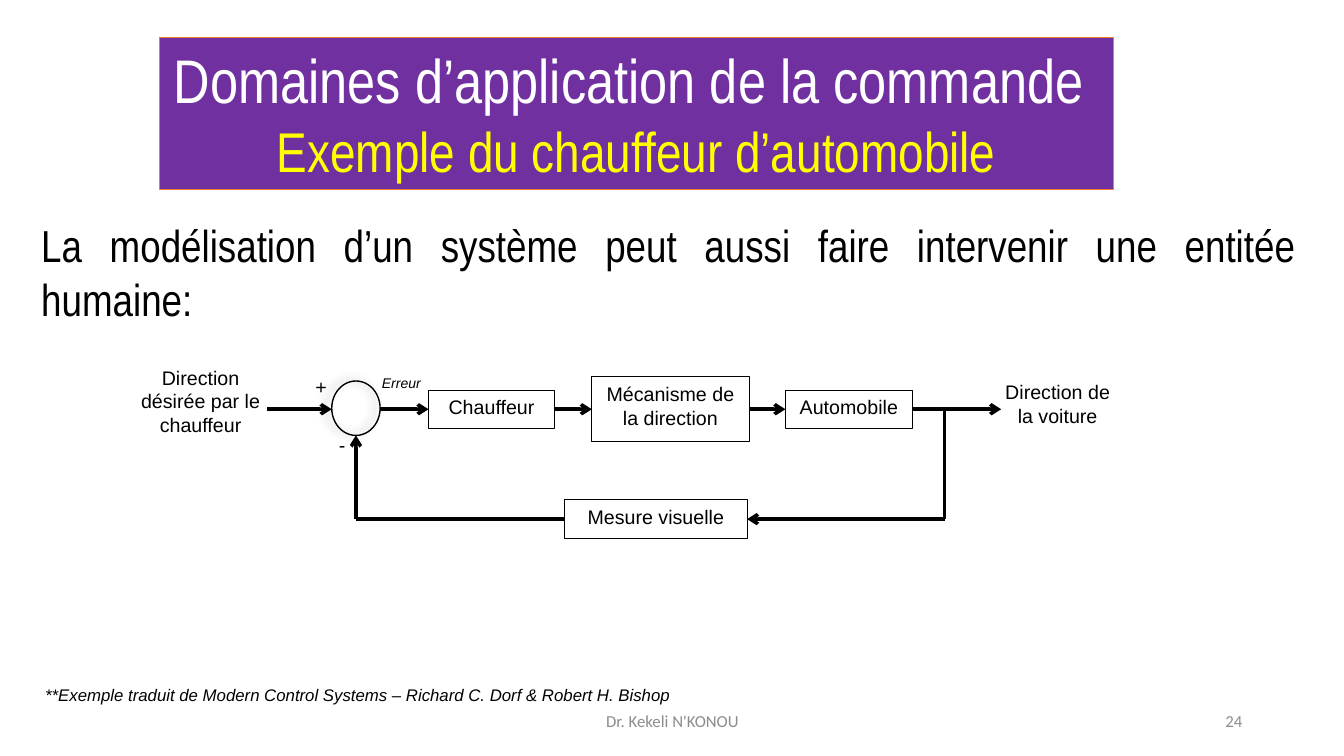
"""Build a slide showing the control loop of a car driver."""
from lxml import etree
from pptx import Presentation
from pptx.dml.color import RGBColor
from pptx.enum.shapes import MSO_CONNECTOR, MSO_SHAPE
from pptx.enum.text import MSO_ANCHOR, MSO_AUTO_SIZE, PP_ALIGN
from pptx.oxml import parse_xml
from pptx.oxml.ns import nsdecls, qn
from pptx.util import Inches, Pt

BLACK = RGBColor(0x00, 0x00, 0x00)
WHITE = RGBColor(0xFF, 0xFF, 0xFF)
YELLOW = RGBColor(0xFF, 0xFF, 0x00)
PURPLE = RGBColor(0x70, 0x30, 0xA0)
ORANGE = RGBColor(0xED, 0x7D, 0x31)
GREY = RGBColor(0x8C, 0x8C, 0x8C)
LEFT, CENTER, RIGHT, JUSTIFY = PP_ALIGN.LEFT, PP_ALIGN.CENTER, PP_ALIGN.RIGHT, PP_ALIGN.JUSTIFY

prs = Presentation()
prs.slide_width, prs.slide_height = Inches(13.33), Inches(7.5)
s = prs.slides.add_slide(prs.slide_layouts[6])


def add_text(box, text, size=14, align=CENTER, font="Arial", color=BLACK, italic=False, outlined=False):
    x, y, w, h = map(Inches, box)
    if outlined:
        sp = s.shapes.add_shape(MSO_SHAPE.RECTANGLE, x, y, w, h)
        sp.shadow.inherit = False
        sp.fill.background()
        sp.line.color.rgb = BLACK
        sp.line.width = Pt(0.75)
    else:
        sp = s.shapes.add_textbox(x, y, w, h)
    tf = sp.text_frame
    tf.word_wrap = True
    tf.auto_size = MSO_AUTO_SIZE.SHAPE_TO_FIT_TEXT
    tf.vertical_anchor = MSO_ANCHOR.TOP
    p = tf.paragraphs[0]
    p.text = text
    p.alignment = align
    p.font.name, p.font.size, p.font.italic = font, Pt(size), italic
    p.font.color.rgb = color
    return sp


def add_link(start, end, source=None, target=None, arrow=True):
    c = s.shapes.add_connector(MSO_CONNECTOR.STRAIGHT, *map(Inches, start + end))
    if source:
        c.begin_connect(*source)
    if target:
        c.end_connect(*target)
    c.line.color.rgb = BLACK
    c.line.width = Pt(2.5)
    if arrow:
        etree.SubElement(c.line._get_or_add_ln(), qn("a:tailEnd"), type="arrow")
    etree.SubElement(c._element.spPr, qn("a:effectLst"))


title = s.shapes.add_shape(MSO_SHAPE.RECTANGLE, Inches(1.58), Inches(0.37), Inches(9.46), Inches(1.51))
title.shadow.inherit = False
title.fill.solid()
title.fill.fore_color.rgb = PURPLE
title.line.color.rgb = ORANGE
title.line.width = Pt(0.5)
tf = title.text_frame
tf.word_wrap = False
tf.auto_size = MSO_AUTO_SIZE.SHAPE_TO_FIT_TEXT
tf.vertical_anchor = MSO_ANCHOR.TOP
p = tf.paragraphs[0]
p.alignment = CENTER
for text, size, color in [("Domaines d’application de la commande ", 44, WHITE),
                          ("Exemple du chauffeur d’automobile", 40, YELLOW)]:
    if p.runs:
        p.add_line_break()
    r = p.add_run()
    r.text = text
    r.font.name, r.font.size = "Arial Narrow", Pt(size)
    r.font.color.rgb = color

add_text((0.35, 6.74, 7.29, 0.3),
         "**Exemple traduit de Modern Control Systems – Richard C. Dorf & Robert H. Bishop",
         12, LEFT, italic=True)
add_text((0.31, 2.11, 12.65, 1.18),
         "La modélisation d’un système peut aussi faire intervenir une entitée humaine:",
         32, JUSTIFY, "Arial Narrow")

driver = add_text((4.25, 3.87, 1.25, 0.38), "Chauffeur", outlined=True)
steering = add_text((5.87, 3.74, 1.56, 0.64), "Mécanisme de la direction", outlined=True)
car = add_text((7.79, 3.87, 1.26, 0.38), "Automobile", outlined=True)
sensor = add_text((5.6, 4.96, 1.81, 0.38), "Mesure visuelle", outlined=True)

summing = s.shapes.add_shape(MSO_SHAPE.OVAL, Inches(3.29), Inches(3.78), Inches(0.48), Inches(0.54))
summing.fill.background()
summing.line.color.rgb = BLACK
summing.line.width = Pt(1)
summing._element.spPr.append(parse_xml(
    f'<a:effectLst {nsdecls("a")}><a:outerShdw blurRad="{Pt(7)}" dist="{Pt(4)}" dir="11400000">'
    '<a:srgbClr val="000000"><a:alpha val="35000"/></a:srgbClr></a:outerShdw></a:effectLst>'))

add_text((1.17, 3.58, 1.64, 0.92), "Direction désirée par le chauffeur")
add_text((9.85, 3.72, 1.28, 0.65), "Direction de la voiture")
add_text((2.97, 3.67, 0.43, 0.38), "+")
add_text((3.18, 4.25, 0.43, 0.38), "-")
add_text((3.69, 3.67, 0.83, 0.31), "Erreur", 10, LEFT, italic=True)

forward_y, feedback_y = 4.06, 5.15
sum_x, branch_x = 3.53, 9.37
add_link((2.65, forward_y), (3.29, forward_y))
add_link((3.77, forward_y), (4.25, forward_y), target=(driver, 1))
add_link((5.5, forward_y), (5.87, forward_y), (driver, 3), (steering, 1))
add_link((7.43, forward_y), (7.79, forward_y), (steering, 3), (car, 1))
add_link((9.05, forward_y), (9.93, forward_y), source=(car, 3))
add_link((branch_x, forward_y), (branch_x, feedback_y), arrow=False)
add_link((branch_x, feedback_y), (7.41, feedback_y), target=(sensor, 3))
add_link((5.6, feedback_y), (sum_x, feedback_y), source=(sensor, 1), arrow=False)
add_link((sum_x, feedback_y), (sum_x, 4.32))

for x, w, text, align in [(4.42, 4.5, "Dr. Kekeli N'KONOU", CENTER), (9.42, 3, "24", RIGHT)]:
    footer = add_text((x, 6.95, w, 0.4), text, 12, align, "Calibri", GREY)
    footer.text_frame.auto_size = MSO_AUTO_SIZE.NONE
    footer.text_frame.vertical_anchor = MSO_ANCHOR.MIDDLE

prs.save("out.pptx")
